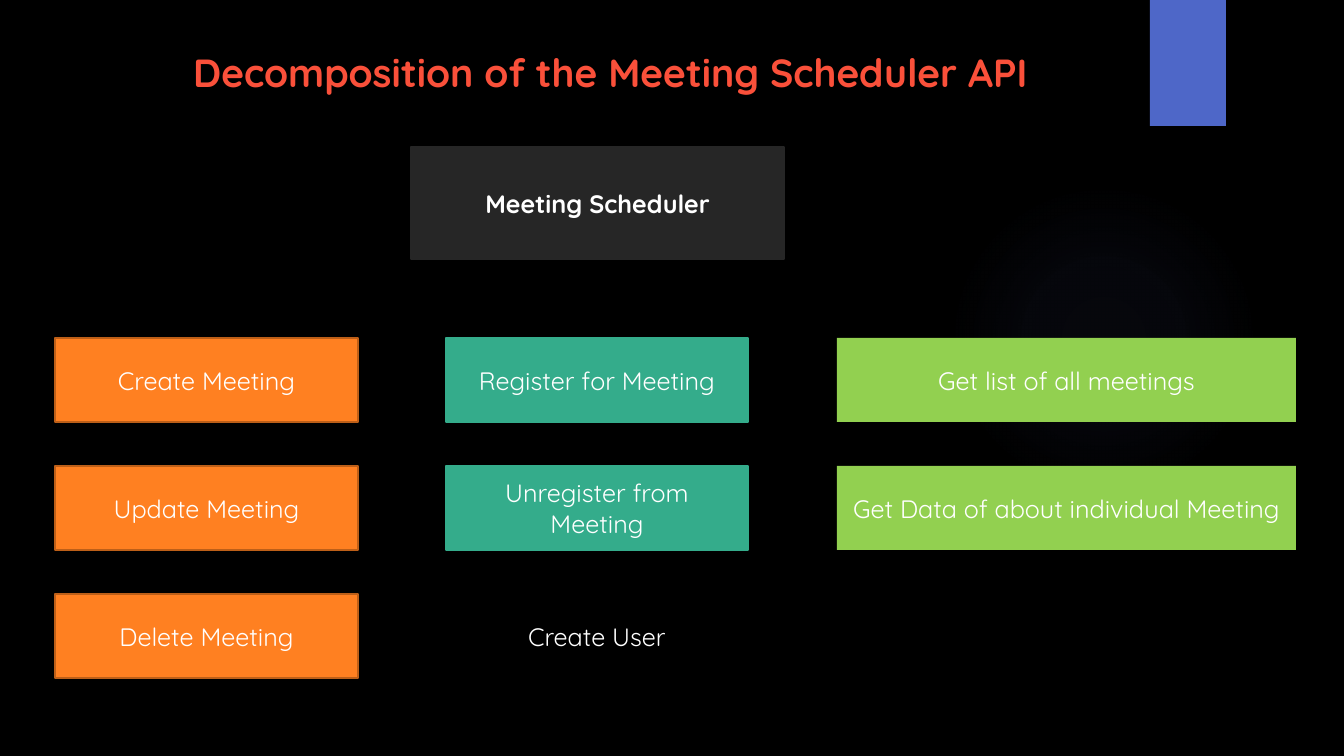
from pptx import Presentation, util as u
from pptx.dml.color import RGBColor
from pptx.enum import shapes, text
from pptx.oxml import parse_xml
from pptx.oxml.ns import nsdecls

PIXEL = 914400 / 100.8
FONT = "Quicksand"
WHITE = "FFFFFF"
ROW_TOP, ROW_STEP, ROW_HEIGHT = 338, 128, 84
COLUMNS = [
    (55, 303, [("Create Meeting", "FF8021", "BD5F18"),
               ("Update Meeting", "FF8021", "BD5F18"),
               ("Delete Meeting", "FF8021", "BD5F18")]),
    (446, 302, [("Register for Meeting", "34AC8B", "34AC8B"),
                ("Unregister from Meeting", "34AC8B", "34AC8B"),
                ("Create User", "000000", None)]),
    (837, 459, [("Get list of all meetings", "92D050", None),
                ("Get Data of about individual Meeting", "92D050", None)]),
]


def px(*lengths):
    """Turn pixel lengths into EMU."""
    return [u.Emu(round(length * PIXEL)) for length in lengths]


def color(value):
    """Turn a hex string into a colour."""
    return RGBColor.from_string(value)


def style_font(font, size, value, bold=False):
    """Set typeface, size, colour and weight."""
    font.name, font.size, font.bold = FONT, u.Pt(size), bold
    font.color.rgb = color(value)


def add_plain(page, kind, bounds, fill=None, line=None):
    """Add a shape without shadow."""
    shape = page.shapes.add_shape(kind, *px(*bounds))
    shape.shadow.inherit = False
    if fill:
        shape.fill.solid()
        shape.fill.fore_color.rgb = color(fill)
    if line:
        shape.line.color.rgb = color(line)
        shape.line.width = u.Pt(1.5)
    else:
        shape.line.fill.background()
    return shape


def add_box(page, bounds, label, fill, line=None, bold=False):
    """Add a rectangle with a centred label."""
    box = add_plain(page, shapes.MSO_SHAPE.RECTANGLE, bounds, fill, line)
    frame = box.text_frame
    frame.text = label
    frame.word_wrap = True
    frame.vertical_anchor = text.MSO_ANCHOR.MIDDLE
    para = frame.paragraphs[0]
    para.alignment = text.PP_ALIGN.CENTER
    style_font(para.font, 18, WHITE, bold)


def add_glow(page, bounds, value, stops):
    """Add a circle that fades out from its centre."""
    glow = add_plain(page, shapes.MSO_SHAPE.OVAL, bounds)
    marks = "".join(
        f'<a:gs pos="{place * 1000}"><a:srgbClr val="{value}">'
        f'<a:alpha val="{alpha * 1000}"/></a:srgbClr></a:gs>'
        for place, alpha in stops)
    gradient = parse_xml(
        f'<a:gradFill {nsdecls("a")} rotWithShape="1"><a:gsLst>{marks}</a:gsLst>'
        '<a:path path="circle"><a:fillToRect l="50000" t="50000" r="50000" '
        'b="50000"/></a:path></a:gradFill>')
    glow.element.spPr.insert(2, gradient)


def set_title(page, bounds, label):
    """Place and format the title in front of the decoration."""
    title = page.shapes.title
    title.left, title.top, title.width, title.height = px(*bounds)
    frame = title.text_frame
    frame.text = label
    frame.word_wrap = True
    frame.auto_size = text.MSO_AUTO_SIZE.NONE
    frame.vertical_anchor = text.MSO_ANCHOR.TOP
    para = frame.paragraphs[0]
    para.alignment = text.PP_ALIGN.LEFT
    style_font(para.font, 28, "FA503A", True)
    title.element.getparent().append(title.element)


def main():
    """Build the slide and save it."""
    deck = Presentation()
    deck.slide_width, deck.slide_height = px(1344, 756)
    page = deck.slides.add_slide(deck.slide_layouts[5])
    page.background.fill.solid()
    page.background.fill.fore_color.rgb = color("000000")

    add_glow(page, (949, 184, 310, 310), "5968B0", [(0, 7), (36, 6), (69, 0)])
    add_plain(page, shapes.MSO_SHAPE.RECTANGLE, (1150, 0, 76, 126), "4E67C8")
    set_title(page, (183, 43, 1105, 74), "Decomposition of the Meeting Scheduler API")
    add_box(page, (411, 147, 373, 112), "Meeting Scheduler", "262626", "262626", True)
    for left, width, entries in COLUMNS:
        for row, (label, fill, line) in enumerate(entries):
            bounds = (left, ROW_TOP + row * ROW_STEP, width, ROW_HEIGHT)
            add_box(page, bounds, label, fill, line)
    deck.save("out.pptx")


main()
